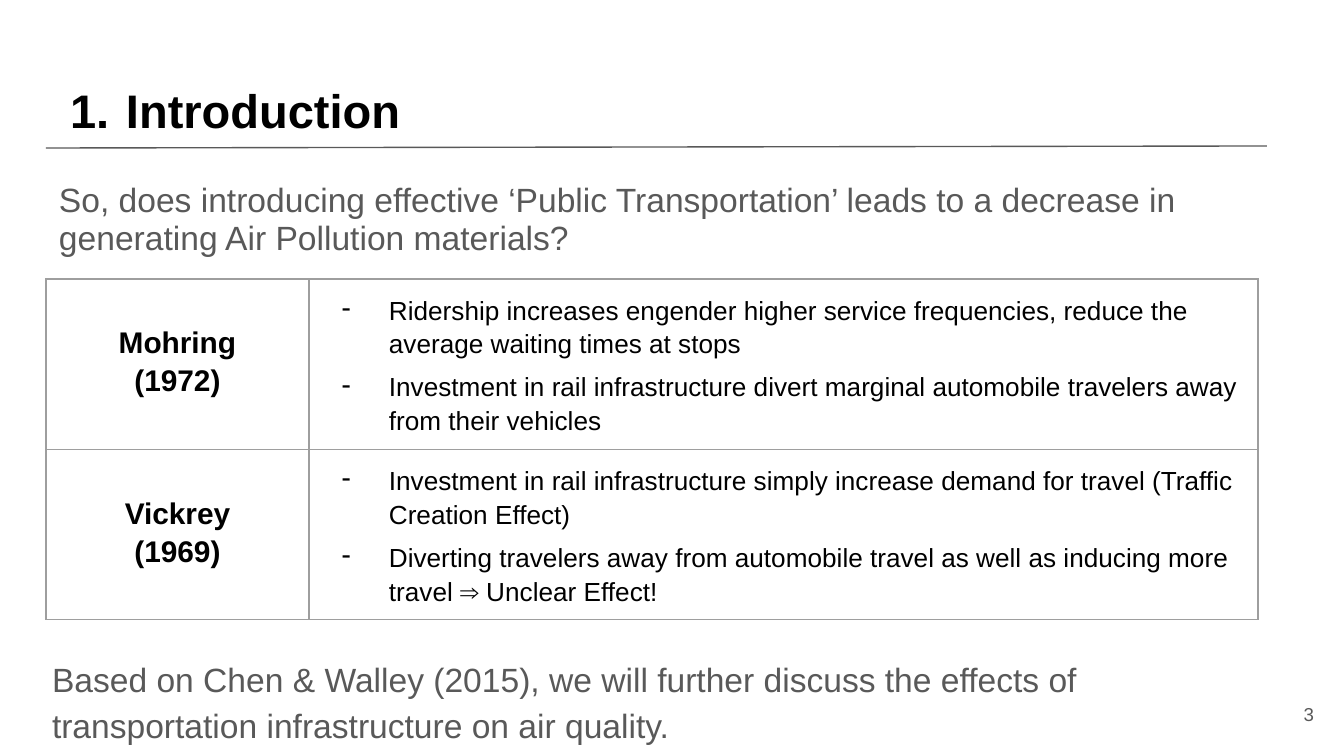
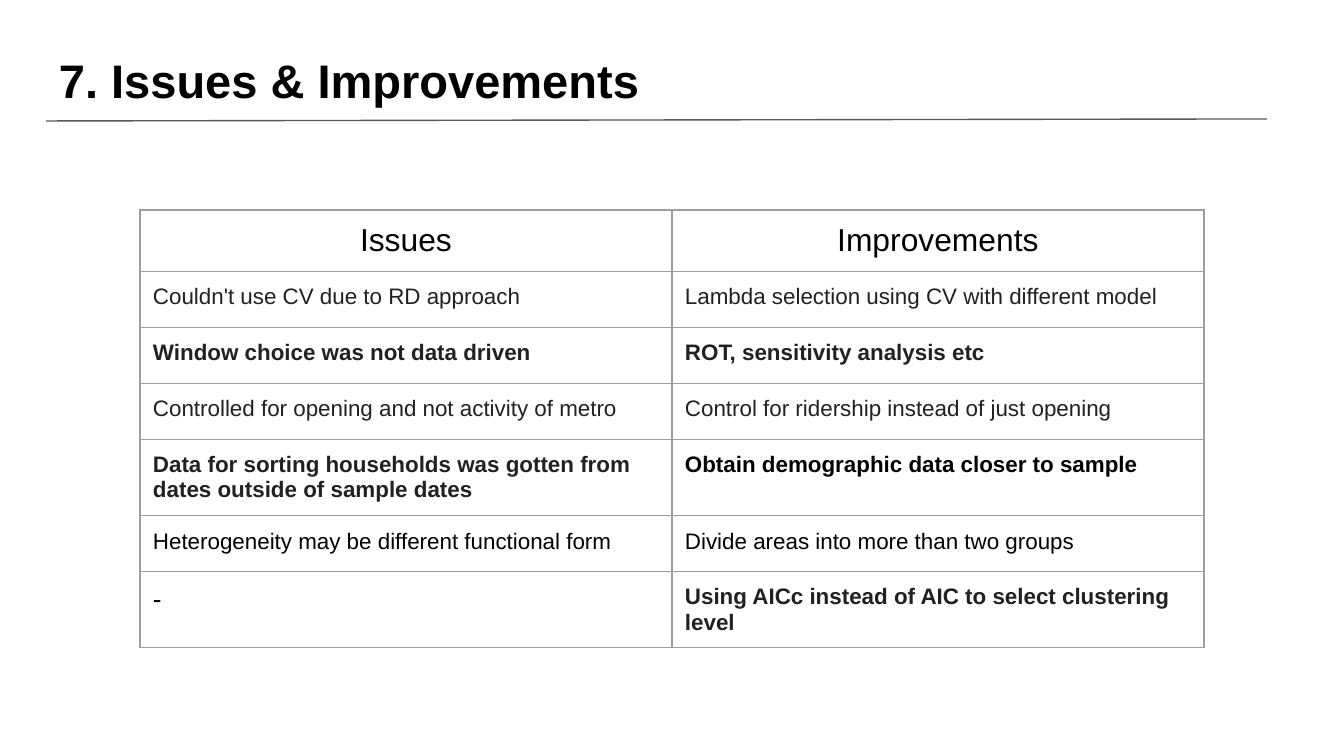
from dataclasses import dataclass

from lxml.etree import SubElement
from pptx import Presentation
from pptx.dml.color import RGBColor
from pptx.enum.shapes import MSO_CONNECTOR
from pptx.enum.text import MSO_ANCHOR as Anchor, MSO_AUTO_SIZE as AutoSize, PP_ALIGN as Align
from pptx.oxml import parse_xml
from pptx.oxml.ns import nsdecls, qn
from pptx.util import Emu, Pt

EMU_PER_PX = 914400 / 134.4
SLIDE_WIDTH, SLIDE_HEIGHT = 1344, 756
INSET = 13
TWO_CONTENT, TITLE_ONLY = 3, 5


@dataclass(frozen=True)
class Theme:
    font: str = "Arial"
    black: str = "000000"
    ink: str = "202124"
    grey: str = "595959"
    border: str = "9E9E9E"
    rule_width: float = 0.75
    title: float = 25.2
    body: float = 18
    column_head: float = 17
    author: float = 16
    claim: float = 14
    entry: float = 12
    page: float = 10


THEME = Theme()

# Content
STUDIES = [
    (("Mohring", "(1972)"),
     ("Ridership increases engender higher service frequencies, reduce the "
      "average waiting times at stops",
      "Investment in rail infrastructure divert marginal automobile travelers "
      "away from their vehicles")),
    (("Vickrey", "(1969)"),
     ("Investment in rail infrastructure simply increase demand for travel "
      "(Traffic Creation Effect)",
      "Diverting travelers away from automobile travel as well as inducing more "
      "travel ⇒ Unclear Effect!")),
]

# Each entry: text, colour, bold
INK, BLACK = THEME.ink, THEME.black
ISSUES = [
    (("Couldn't use CV due to RD approach", INK, False),
     ("Lambda selection using CV with different model", INK, False)),
    (("Window choice was not data driven", INK, True),
     ("ROT, sensitivity analysis etc", INK, True)),
    (("Controlled for opening and not activity of metro", INK, False),
     ("Control for ridership instead of just opening", INK, False)),
    (("Data for sorting households was gotten from dates outside of sample dates", INK, True),
     ("Obtain demographic data closer to sample", BLACK, True)),
    (("Heterogeneity may be different functional form", BLACK, False),
     ("Divide areas into more than two groups", BLACK, False)),
    (("-", BLACK, False),
     ("Using AICc instead of AIC to select clustering level", INK, True)),
]


def px(length):
    return Emu(round(length * EMU_PER_PX))


# Text
def set_bullet(paragraph, tag, margin=0, indent=0, **attributes):
    props = paragraph._p.get_or_add_pPr()
    props.set("marL", str(px(margin)))
    props.set("indent", str(px(indent)))
    if tag != "buNone":
        colour = SubElement(props, qn("a:buClr"))
        SubElement(colour, qn("a:srgbClr"), val=THEME.black)
    SubElement(props, qn(f"a:{tag}"), **attributes)


def format_paragraph(paragraph, size, colour, bold=False, align=Align.LEFT,
                     spacing=1.0, before=0, after=0):
    paragraph.alignment = align
    paragraph.line_spacing = spacing
    paragraph.space_before, paragraph.space_after = Pt(before), Pt(after)
    font = paragraph.font
    font.name, font.size, font.bold = THEME.font, Pt(size), bold
    font.color.rgb = RGBColor.from_string(colour)


def prepare_frame(frame, anchor=Anchor.TOP):
    frame.word_wrap = True
    frame.auto_size = AutoSize.NONE
    frame.vertical_anchor = anchor
    frame.margin_left = frame.margin_right = px(INSET)
    frame.margin_top = frame.margin_bottom = px(INSET)
    return frame


def place(shape, left, top, width, height):
    shape.left, shape.top = px(left), px(top)
    shape.width, shape.height = px(width), px(height)


def set_title(slide, text, top, numbered=False):
    title = slide.shapes.title
    place(title, 46, top, 1253, 85)
    frame = prepare_frame(title.text_frame, Anchor.BOTTOM)
    frame.text = text
    heading = frame.paragraphs[0]
    if numbered:
        set_bullet(heading, "buAutoNum", 67, -56, type="arabicPeriod")
    format_paragraph(heading, THEME.title, THEME.black, bold=True)


def set_body(placeholder, text, box, spacing, after=0):
    place(placeholder, *box)
    frame = prepare_frame(placeholder.text_frame)
    frame.text = text
    statement = frame.paragraphs[0]
    set_bullet(statement, "buNone")
    format_paragraph(statement, THEME.body, THEME.grey, spacing=spacing, after=after)


def add_page_number(slide, number):
    box = slide.shapes.add_textbox(px(1246), px(685), px(81), px(58))
    frame = prepare_frame(box.text_frame, Anchor.MIDDLE)
    frame.text = number
    format_paragraph(frame.paragraphs[0], THEME.page, THEME.grey, align=Align.RIGHT)


# Lines and tables
def add_title_rule(slide, top):
    rule = slide.shapes.add_connector(
        MSO_CONNECTOR.STRAIGHT, px(46), px(top + 2), px(1267), px(top))
    rule.line.color.rgb = RGBColor.from_string(THEME.grey)
    rule.line.width = Pt(THEME.rule_width)
    SubElement(rule._element.spPr, qn("a:effectLst"))


def style_cell(cell):
    cell.margin_left = cell.margin_right = px(INSET)
    cell.margin_top = cell.margin_bottom = px(INSET)
    cell.fill.background()
    props = cell._tc.get_or_add_tcPr()
    for position, side in enumerate(("lnL", "lnR", "lnT", "lnB")):
        props.insert(position, parse_xml(
            f'<a:{side} {nsdecls("a")} w="{Pt(THEME.rule_width)}"><a:solidFill>'
            f'<a:srgbClr val="{THEME.border}"/></a:solidFill></a:{side}>'))


def add_grid(slide, left, top, column_widths, row_count, row_height):
    grid = slide.shapes.add_table(
        row_count, len(column_widths), px(left), px(top),
        px(sum(column_widths)), px(row_count * row_height)).table
    grid.first_row = grid.horz_banding = False
    for column, width in zip(grid.columns, column_widths):
        column.width = px(width)
    for cell in grid.iter_cells():
        style_cell(cell)
    return grid


def fill_author(cell, lines):
    cell.text = "\n".join(lines)
    cell.margin_top = px(INSET + 30)
    for line in cell.text_frame.paragraphs:
        format_paragraph(line, THEME.author, THEME.black, bold=True,
                         align=Align.CENTER, spacing=1.15)


def fill_claims(cell, claims):
    cell.text = "\n".join(claims)
    for index, claim in enumerate(cell.text_frame.paragraphs):
        set_bullet(claim, "buChar", 67, -47, char="-")
        format_paragraph(claim, THEME.claim, THEME.black, spacing=1.15,
                         before=5 if index else 0)


def fill_entry(cell, text, size, colour, bold=False, align=Align.LEFT):
    cell.text = text
    format_paragraph(cell.text_frame.paragraphs[0], size, colour, bold, align)


# Slides
def add_introduction(deck):
    slide = deck.slides.add_slide(deck.slide_layouts[TWO_CONTENT])
    set_title(slide, "Introduction", 66, numbered=True)
    add_title_rule(slide, 146)
    question, outlook = slide.placeholders[1], slide.placeholders[2]
    set_body(question,
             "So, does introducing effective ‘Public Transportation’ leads to a "
             "decrease in \vgenerating Air Pollution materials?",
             (46, 169, 1181, 70), spacing=0.95, after=12)
    studies = add_grid(slide, 46, 279, (263, 949), len(STUDIES), 130)
    for row, (author, claims) in enumerate(STUDIES):
        fill_author(studies.cell(row, 0), author)
        fill_claims(studies.cell(row, 1), claims)
    set_body(outlook,
             "Based on Chen & Walley (2015), we will further discuss the effects of "
             "transportation infrastructure on air quality.",
             (39, 640, 1253, 70), spacing=1.15)
    add_page_number(slide, "3")


def add_issues(deck):
    slide = deck.slides.add_slide(deck.slide_layouts[TITLE_ONLY])
    set_title(slide, "7. Issues & Improvements", 36)
    add_title_rule(slide, 119)
    comparison = add_grid(slide, 140, 210, (532, 532), len(ISSUES) + 1, 56)
    for column, heading in enumerate(("Issues", "Improvements")):
        fill_entry(comparison.cell(0, column), heading, THEME.column_head,
                   THEME.black, align=Align.CENTER)
    for row, pair in enumerate(ISSUES, start=1):
        for column, (text, colour, bold) in enumerate(pair):
            size = THEME.claim if text == "-" else THEME.entry
            fill_entry(comparison.cell(row, column), text, size, colour, bold)


def main():
    deck = Presentation()
    deck.slide_width, deck.slide_height = px(SLIDE_WIDTH), px(SLIDE_HEIGHT)
    add_introduction(deck)
    add_issues(deck)
    deck.save("out.pptx")


if __name__ == "__main__":
    main()
